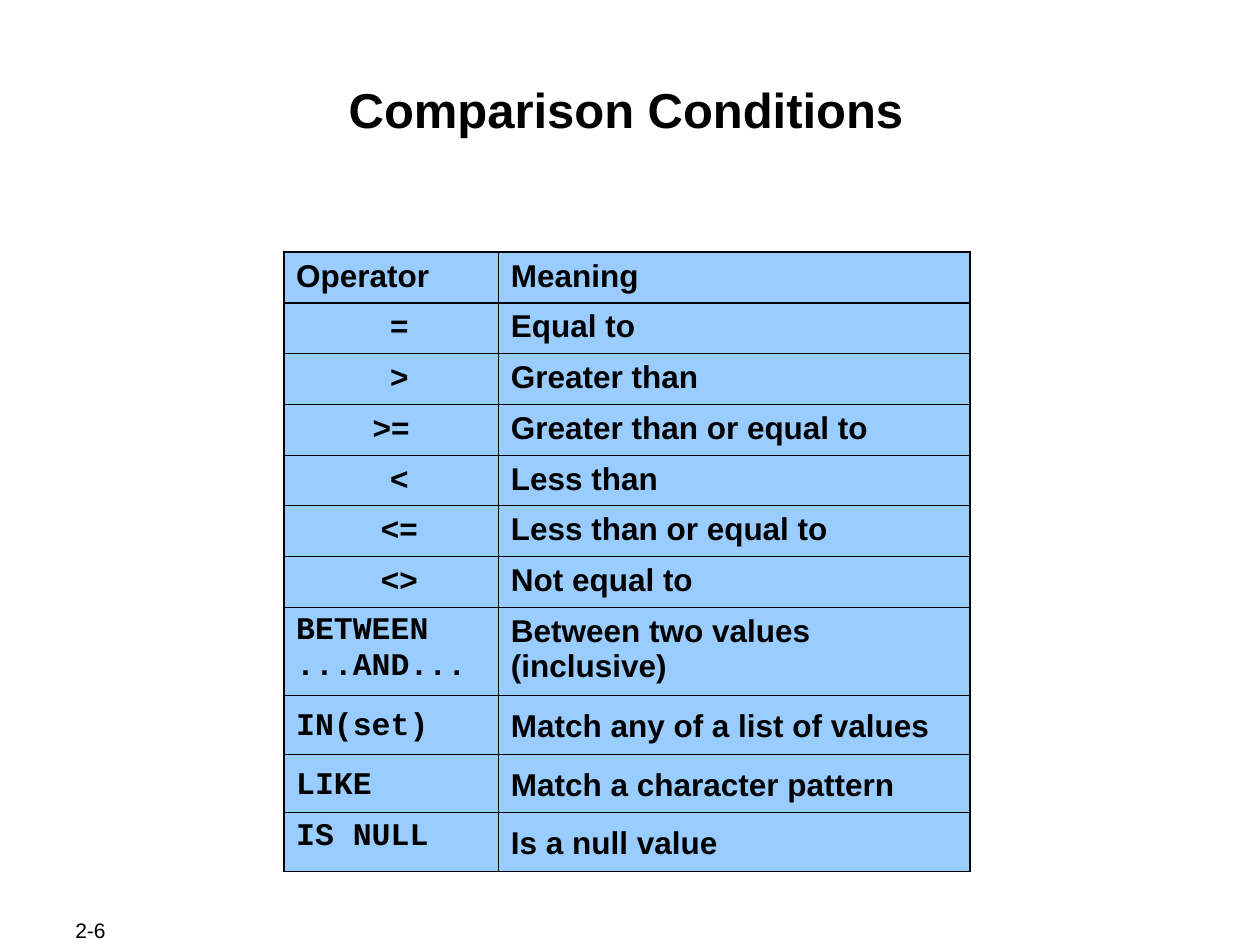
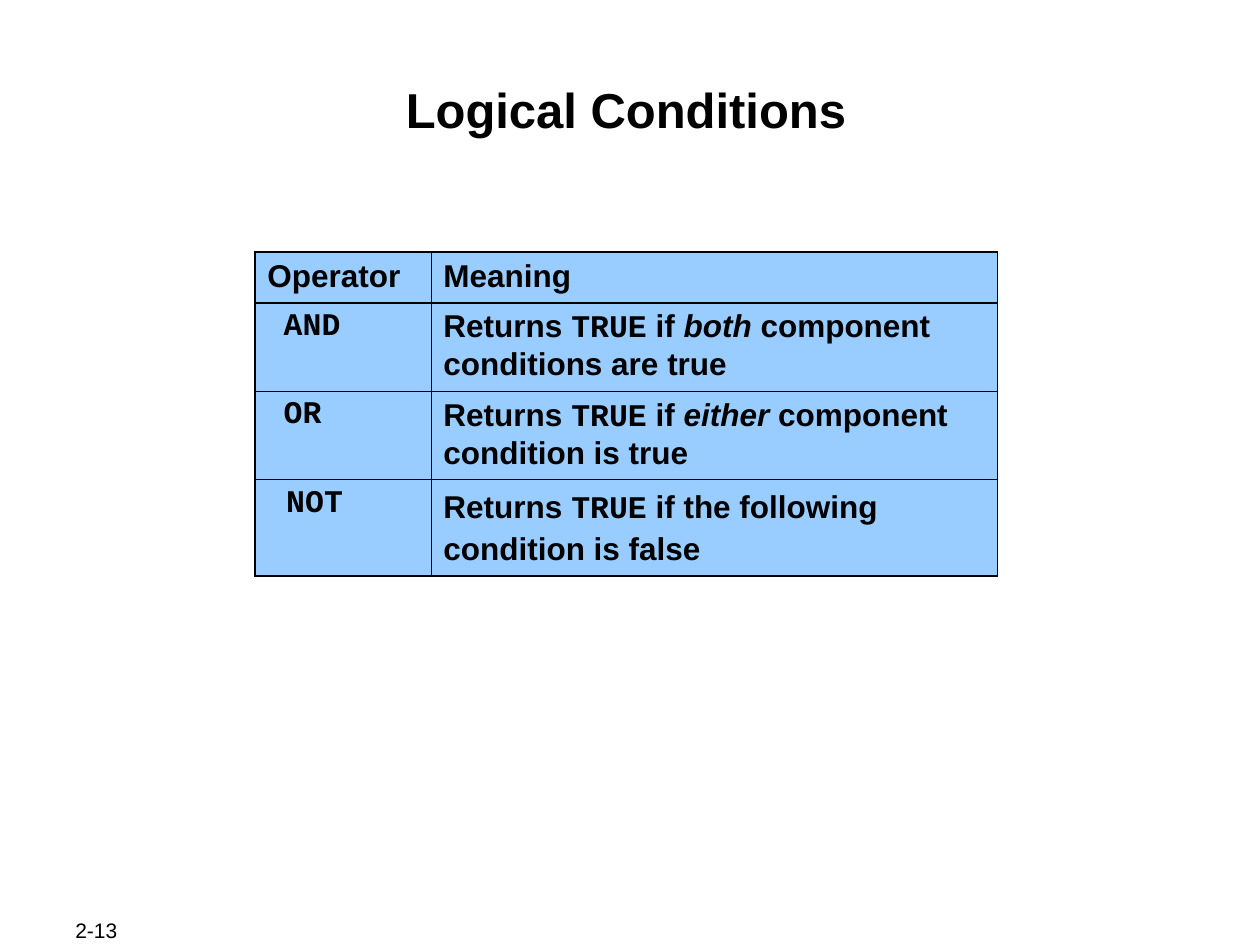
from dataclasses import dataclass

from lxml.etree import SubElement
from pptx import Presentation
from pptx.dml.color import RGBColor
from pptx.enum.text import MSO_ANCHOR as Anchor, PP_ALIGN as Align
from pptx.oxml.ns import qn
from pptx.util import Cm, Pt

BLACK = RGBColor(0x00, 0x00, 0x00)
SKY_BLUE = RGBColor(0x99, 0xCC, 0xFF)
SANS, MONO = "Arial", "Courier New"
THICK, THIN = Pt(1.08), Pt(0.45)
TABLE_TOP = 5.08
SINGLE_ROW, DOUBLE_ROW, LOOSE_ROW = 1.02, 1.78, 1.18
INDENT = 0.33


@dataclass(frozen=True)
class Span:
    text: str
    font: str = SANS
    italic: bool = False


@dataclass(frozen=True)
class CellText:
    spans: tuple[Span, ...]
    align: Align = Align.LEFT
    indent: float = 0
    spacing: float = 1


@dataclass(frozen=True)
class TableRow:
    operator: CellText
    meaning: CellText
    height: float = SINGLE_ROW


@dataclass(frozen=True)
class ConditionPage:
    title: str
    number: str
    left: float
    widths: tuple[float, float]
    rows: tuple[TableRow, ...]


def sans(text: str, spacing: float = 1) -> CellText:
    return CellText((Span(text),), spacing=spacing)


def mono(text: str, indent: float = 0, spacing: float = 1) -> CellText:
    return CellText((Span(text, MONO),), indent=indent, spacing=spacing)


def symbol_row(symbol: str, meaning: str, indent: float = INDENT) -> TableRow:
    return TableRow(CellText((Span(symbol),), Align.CENTER, indent), sans(meaning))


def returns_true(*ending: Span, spacing: float = 1) -> CellText:
    return CellText((Span("Returns "), Span("TRUE", MONO), *ending), spacing=spacing)


HEADER = TableRow(sans("Operator"), sans("Meaning"))

PAGES = (
    ConditionPage("Comparison Conditions", "2-6", 5.72, (4.33, 9.5), (
        HEADER,
        symbol_row("=", "Equal to"),
        symbol_row(">", "Greater than"),
        symbol_row(">=", "Greater than or equal to", indent=0),
        symbol_row("<", "Less than"),
        symbol_row("<=", "Less than or equal to"),
        symbol_row("<>", "Not equal to"),
        TableRow(mono("BETWEEN\v...AND..."),
                 sans("Between two values (inclusive)"), DOUBLE_ROW),
        TableRow(mono("IN(set)", spacing=1.2),
                 sans("Match any of a list of values", 1.2), LOOSE_ROW),
        TableRow(mono("LIKE", spacing=1.2),
                 sans("Match a character pattern", 1.2), LOOSE_ROW),
        TableRow(mono("IS NULL"), sans("Is a null value", 1.2), LOOSE_ROW),
    )),
    ConditionPage("Logical Conditions", "2-13", 5.14, (3.55, 11.42), (
        HEADER,
        TableRow(mono("AND", INDENT),
                 returns_true(Span(" if "), Span("both ", italic=True),
                              Span("component conditions are true")), DOUBLE_ROW),
        TableRow(mono("OR", INDENT),
                 returns_true(Span(" if "), Span("either ", italic=True),
                              Span("component condition is true")), DOUBLE_ROW),
        TableRow(mono("NOT", 0.38),
                 returns_true(Span(" if the following condition is false"),
                              spacing=1.1), 1.94),
    )),
)


def style_font(font, size: float, name: str = SANS, bold: bool = False,
               italic: bool = False) -> None:
    font.size, font.name = Pt(size), name
    font.bold, font.italic = bold, italic
    font.color.rgb = BLACK


def add_label(page, text: str, at: tuple[float, ...], insets: tuple[float, ...],
              size: float, align: Align, anchor: Anchor, bold: bool = False) -> None:
    """Place one line of text; insets are left, top, right, bottom."""
    frame = page.shapes.add_textbox(*map(Cm, at)).text_frame
    frame.word_wrap = True
    frame.vertical_anchor = anchor
    (frame.margin_left, frame.margin_top,
     frame.margin_right, frame.margin_bottom) = map(Cm, insets)
    frame.text = text
    para = frame.paragraphs[0]
    para.alignment = align
    style_font(para.runs[0].font, size, bold=bold)


def set_border(cell, side: str, width: int) -> None:
    line = SubElement(cell._tc.get_or_add_tcPr(), qn(f"a:ln{side}"), w=str(width))
    fill = SubElement(line, qn("a:solidFill"))
    SubElement(fill, qn("a:srgbClr"), val=str(BLACK))


def fill_cell(cell, content: CellText) -> None:
    cell.margin_left = cell.margin_right = Cm(0.25)
    cell.margin_top = cell.margin_bottom = Cm(0.13)
    para = cell.text_frame.paragraphs[0]
    para.alignment = content.align
    para.line_spacing = content.spacing
    if content.indent:
        properties = para._p.get_or_add_pPr()
        properties.set("marL", str(Cm(content.indent)))
        properties.set("indent", "0")
    if len(content.spans) == 1:
        para.text = content.spans[0].text
        for run in para.runs:
            style_font(run.font, 18, content.spans[0].font, bold=True)
        return
    for span in content.spans:
        run = para.add_run()
        run.text = span.text
        style_font(run.font, 18, span.font, bold=True, italic=span.italic)


def add_condition_table(page, content: ConditionPage) -> None:
    """Draw the operators, with thick lines around the grid and below its header."""
    heights = [row.height for row in content.rows]
    table = page.shapes.add_table(
        len(heights), 2, Cm(content.left), Cm(TABLE_TOP),
        Cm(sum(content.widths)), Cm(sum(heights))).table
    table.first_row = table.horz_banding = False
    for column, width in zip(table.columns, content.widths):
        column.width = Cm(width)
    last = len(heights) - 1
    for index, row in enumerate(content.rows):
        table.rows[index].height = Cm(row.height)
        for column, text in enumerate((row.operator, row.meaning)):
            cell = table.cell(index, column)
            fill_cell(cell, text)
            thick_sides = {"L": column == 0, "R": column == 1,
                           "T": index <= 1, "B": index in (0, last)}
            for side, thick in thick_sides.items():
                set_border(cell, side, THICK if thick else THIN)
            cell.fill.solid()
            cell.fill.fore_color.rgb = SKY_BLUE


def add_condition_page(deck, content: ConditionPage) -> None:
    page = deck.slides.add_slide(deck.slide_layouts[6])
    add_label(page, content.number, (1.27, 18.49, 2.69, 0.51),
              (0.25, 0.13, 0.25, 0.13), 12, Align.LEFT, Anchor.MIDDLE)
    add_label(page, content.title, (2.46, 1.47, 20.32, 2.44),
              (0.03, 0.13, 0.03, 0.03), 28, Align.CENTER, Anchor.TOP, bold=True)
    add_condition_table(page, content)


def main() -> None:
    deck = Presentation()
    deck.slide_width, deck.slide_height = Cm(25.4), Cm(19.05)
    for content in PAGES:
        add_condition_page(deck, content)
    deck.save("out.pptx")


if __name__ == "__main__":
    main()
